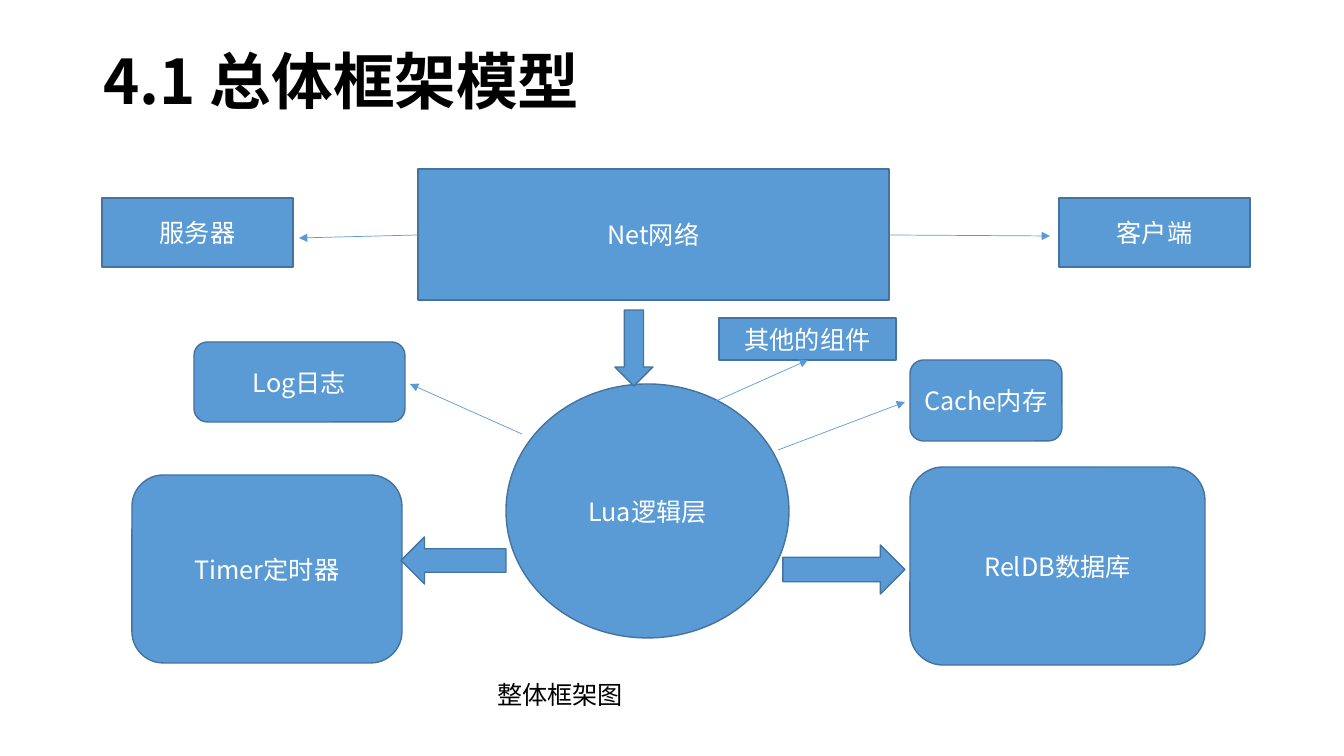
from lxml.etree import SubElement
from pptx import Presentation
from pptx.dml.color import RGBColor
from pptx.enum.shapes import MSO_CONNECTOR as Line, MSO_SHAPE as Preset
from pptx.enum.text import MSO_ANCHOR as Anchor, MSO_AUTO_SIZE as AutoSize, PP_ALIGN as Align
from pptx.oxml.ns import qn
from pptx.util import Emu, Pt

COLORS = {"fill": "5B9BD5", "border": "43739E", "light": "FFFFFF", "dark": "000000"}
FONT = "Noto Sans CJK SC"
PX = 914400 / 100.8
NO_INSETS = {"margin_left": 0, "margin_right": 0, "margin_top": 0, "margin_bottom": 0}


def px(length):
    """Turn pixels into EMU."""
    return Emu(round(length * PX))


def color(name):
    """Look up a palette colour."""
    return RGBColor.from_string(COLORS[name])


def set_all(target, formats):
    """Set every attribute named in a dict of format values."""
    for name, value in formats.items():
        setattr(target, name, value)


def place(target, box):
    """Move and size a shape to a pixel box."""
    set_all(target, dict(zip(("left", "top", "width", "height"), map(px, box))))


def write(target, words, size, ink, align, bold=False, **frame_formats):
    """Write one formatted line, vertically centred."""
    frame = target.text_frame
    set_all(frame, {"word_wrap": True, "auto_size": AutoSize.NONE,
                    "vertical_anchor": Anchor.MIDDLE, **frame_formats})
    paragraph = frame.paragraphs[0]
    set_all(paragraph, {"alignment": align, "space_before": Pt(0)})
    run = paragraph.add_run()
    run.text = words
    set_all(run.font, {"name": FONT, "size": Pt(size), "bold": bold})
    run.font.color.rgb = color(ink)
    SubElement(run.font._element, qn("a:ea"), typeface=FONT)
    return paragraph


def add_block(slide, region, preset, box, label=""):
    """Add a filled shape placed relative to its region."""
    left, top, width, height = box
    block = slide.shapes.add_shape(preset, 0, 0, 0, 0)
    place(block, (region[0] + left, region[1] + top, width, height))
    block.shadow.inherit = False
    block.fill.solid()
    block.fill.fore_color.rgb = color("fill")
    block.line.color.rgb = color("border")
    block.line.width = Pt(1)
    if label:
        write(block, label, 18, "light", Align.CENTER)


def add_link(slide, region, start, end):
    """Add a thin arrow between two points of a region."""
    ends = [px(region[axis] + point[axis]) for point in (start, end) for axis in (0, 1)]
    link = slide.shapes.add_connector(Line.STRAIGHT, *ends)
    link.line.color.rgb = color("fill")
    link.line.width = Pt(0.5)
    SubElement(link.line._get_or_add_ln(), qn("a:tailEnd"), type="triangle")
    SubElement(link._element.spPr, qn("a:effectLst"))


def add_title(slide, box):
    """Fill the title placeholder."""
    title = slide.shapes.title
    place(title, box)
    heading = write(title, "4.1 总体框架模型", 44, "dark", Align.LEFT, bold=True)
    heading.line_spacing = 0.9


def add_caption(slide, box):
    """Fill the body placeholder with the diagram's caption."""
    caption = slide.placeholders[1]
    place(caption, box)
    line = write(caption, "整体框架图", 18, "dark", Align.LEFT, **NO_INSETS)
    line.line_spacing = 0.9
    properties = line._p.get_or_add_pPr()
    for name in ("marL", "indent"):
        properties.set(name, "0")
    SubElement(properties, qn("a:buNone"))


def add_network(slide, region):
    """Draw the network layer with a peer at either end."""
    width, height = region[2:]
    peer_width, peer_height, net_left, net_width = 191, 69, 316, 471
    add_block(slide, region, Preset.RECTANGLE, (net_left, 0, net_width, height), "Net网络")
    for label, left in (("服务器", 0), ("客户端", width - peer_width)):
        add_block(slide, region, Preset.RECTANGLE, (left, 29, peer_width, peer_height), label)
    add_link(slide, region, (net_left, 66), (197, 69))
    add_link(slide, region, (net_left + net_width, 66), (948, 67))


def add_logic(slide, region):
    """Draw the logic layer, its components and their arrows."""
    blocks = (
        (Preset.ROUNDED_RECTANGLE, (778, 157, 295, 198), "RelDB数据库"),
        (Preset.ROUNDED_RECTANGLE, (0, 165, 270, 188), "Timer定时器"),
        (Preset.ROUNDED_RECTANGLE, (778, 50, 152, 81), "Cache内存"),
        (Preset.ROUNDED_RECTANGLE, (62, 32, 211, 80), "Log日志"),
        (Preset.OVAL, (374, 74, 283, 254), "Lua逻辑层"),
        (Preset.RECTANGLE, (587, 8, 177, 42), "其他的组件"),
        (Preset.DOWN_ARROW, (483, 0, 38, 76)),
        (Preset.RIGHT_ARROW, (651, 235, 122, 49)),
        (Preset.LEFT_ARROW, (269, 227, 105, 47)),
    )
    for block in blocks:
        add_block(slide, region, *block)
    links = (((646, 140), (773, 92)), ((390, 124), (278, 74)), ((582, 92), (676, 50)))
    for start, end in links:
        add_link(slide, region, start, end)


deck = Presentation()
set_all(deck, {"slide_width": px(1344), "slide_height": px(756)})
framework = deck.slides.add_slide(deck.slide_layouts[1])
add_title(framework, (93, 40, 1159, 89))
add_caption(framework, (497, 680, 160, 32))
add_network(framework, (102, 169, 1148, 131))
add_logic(framework, (132, 310, 1073, 355))
deck.save("out.pptx")
